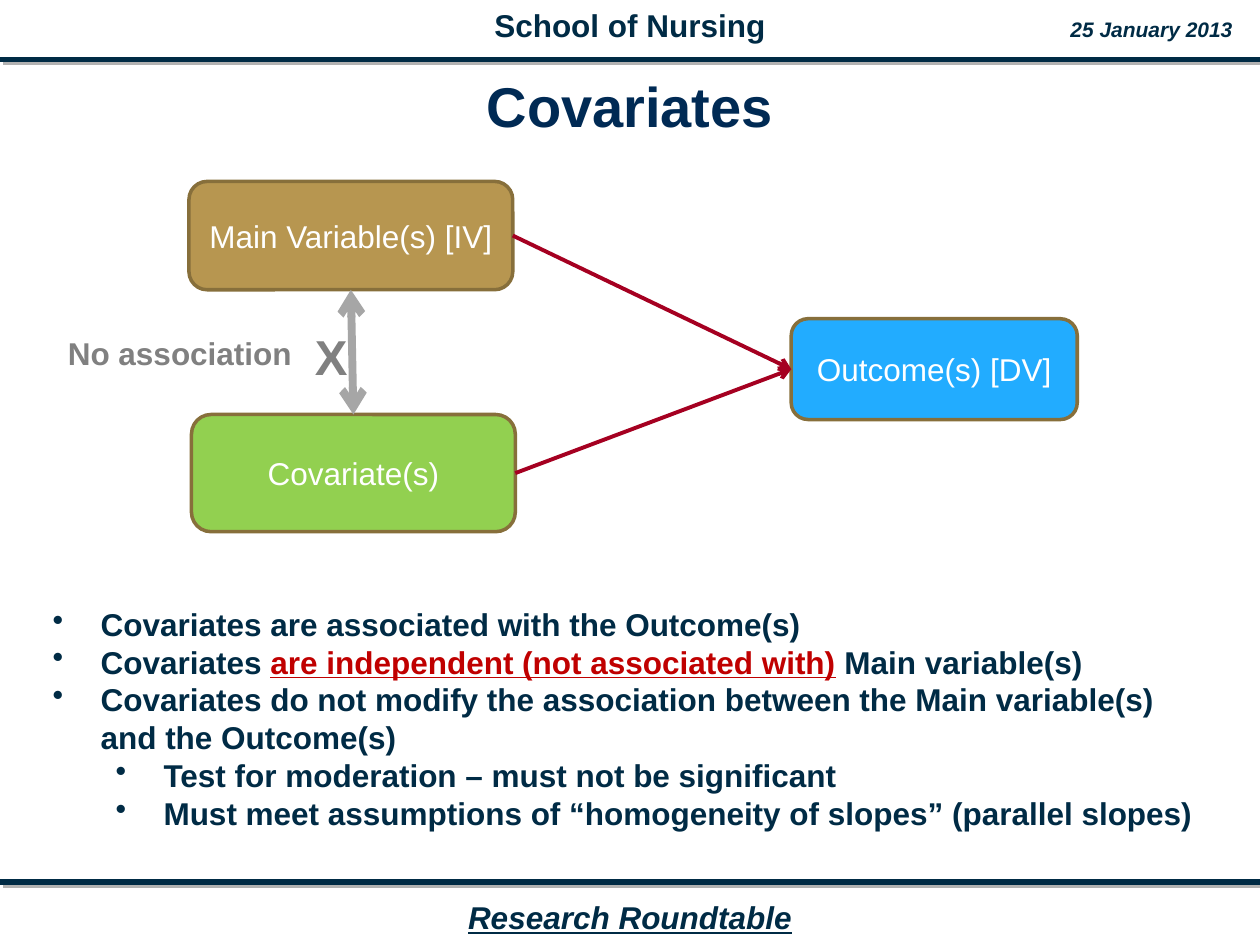
from pptx import Presentation
from pptx.dml.color import RGBColor
from pptx.enum.shapes import MSO_CONNECTOR, MSO_SHAPE
from pptx.enum.text import MSO_ANCHOR as ANCHOR, MSO_AUTO_SIZE as FIT, PP_ALIGN as ALIGN
from pptx.oxml.ns import qn
from pptx.util import Pt
from lxml.etree import SubElement as Sub

PX = 9144  # 100 px to the inch
HUES = {
    "navy": "002B45", "title": "002A54", "shade": "B2B2B2", "gold": "B79650",
    "edge": "876F3B", "blue": "22ACFF", "green": "92D050", "wine": "A50021",
    "red": "C00000", "gray": "808080", "link": "A6A6A6", "white": "FFFFFF",
}
RGB = {name: RGBColor.from_string(code) for name, code in HUES.items()}
TOP, LEFT, BOTTOM, RIGHT = range(4)  # connection sites of a box

deck = Presentation()
deck.slide_width, deck.slide_height = 1000 * PX, 750 * PX
slide = deck.slides.add_slide(deck.slide_layouts[6])
shapes = slide.shapes


def style(para, text, size, hue, bold=True, align=ALIGN.CENTER):
    """Fill a paragraph with one run and set its font."""
    para.add_run().text = text
    para.alignment = align
    font = para.font
    font.name, font.size, font.bold = "Arial", Pt(size), bold
    font.color.rgb = RGB[hue]
    return font


def draw(ends, hue, width, arrows=()):
    """Add a line with arrowheads and return it with its effect list."""
    line = shapes.add_connector(MSO_CONNECTOR.STRAIGHT, *[n * PX for n in ends])
    line.line.color.rgb = RGB[hue]
    line.line.width = Pt(width)
    props = line._element.spPr
    for tag in arrows:
        Sub(props.find(qn("a:ln")), qn(tag), type="arrow")
    return line, Sub(props, qn("a:effectLst"))


# Header and footer rules with a hard shadow
for y in (47, 700):
    rule, fx = draw((0, y, 1000, y), "navy", 3)
    cast = Sub(fx, qn("a:outerShdw"), dist=str(Pt(2.8)), dir="2700000", algn="ctr")
    Sub(cast, qn("a:srgbClr"), val=HUES["shade"])

# Single-line labels: place, text, size, colour, italic, underline, alignment
labels = [
    ((378, 0, 244, 40), "School of Nursing", 18, "navy", False, False, ALIGN.CENTER),
    ((839, 8, 150, 30), "25 January 2013", 12, "navy", True, False, ALIGN.CENTER),
    ((360, 708, 280, 40), "Research Roundtable", 18, "navy", True, True, ALIGN.CENTER),
    ((240, 254, 46, 57), "X", 28, "gray", False, False, ALIGN.LEFT),
    ((44, 260, 200, 40), "No association", 18, "gray", False, False, ALIGN.LEFT),
]

# Title
title = shapes.add_textbox(25 * PX, 58 * PX, 950 * PX, 60 * PX).text_frame
title.word_wrap = True
title.vertical_anchor = ANCHOR.MIDDLE
title.margin_left = title.margin_right = 5 * PX
style(title.paragraphs[0], "Covariates", 32, "title")
title.paragraphs[0].line_spacing = 0.85

# Boxes of the model
boxes = []
for place, text, hue in [
    ((150, 144, 257, 86), "Main Variable(s) [IV]", "gold"),
    ((152, 329, 257, 93), "Covariate(s)", "green"),
    ((628, 253, 227, 80), "Outcome(s) [DV]", "blue"),
]:
    box = shapes.add_shape(MSO_SHAPE.ROUNDED_RECTANGLE, *[n * PX for n in place])
    box.shadow.inherit = False
    box.fill.solid()
    box.fill.fore_color.rgb = RGB[hue]
    box.line.color.rgb = RGB["edge"]
    box.line.width = Pt(2)
    box.text_frame.word_wrap = True
    box.text_frame.vertical_anchor = ANCHOR.MIDDLE
    style(box.text_frame.paragraphs[0], text, 18, "white", bold=False)
    boxes.append(box)
main, covar, out = boxes

# Arrows between the boxes
for start, exit, end, entry, hue, width, arrows in [
    (main, RIGHT, out, LEFT, "wine", 2.25, ["a:tailEnd"]),
    (covar, RIGHT, out, LEFT, "wine", 2.25, ["a:tailEnd"]),
    (main, BOTTOM, covar, TOP, "link", 4.5, ["a:headEnd", "a:tailEnd"]),
]:
    arrow, fx = draw((0, 0, 0, 0), hue, width, arrows)
    arrow.begin_connect(start, exit)
    arrow.end_connect(end, entry)

for place, text, size, hue, italic, under, align in labels:
    frame = shapes.add_textbox(*[n * PX for n in place]).text_frame
    frame.word_wrap = False
    frame.auto_size = FIT.SHAPE_TO_FIT_TEXT
    font = style(frame.paragraphs[0], text, size, hue, align=align)
    font.italic, font.underline = italic, under

# Bullets: level and runs, where every second run is stressed
points = [
    (0, ["Covariates are associated with the Outcome(s)"]),
    (0, ["Covariates ", "are independent (not associated with)", " Main variable(s)"]),
    (0, ["Covariates do not modify the association between the Main variable(s) "
         "and the Outcome(s)"]),
    (1, ["Test for moderation – must not be significant"]),
    (1, ["Must meet assumptions of “homogeneity of slopes” (parallel slopes)"]),
]
body = shapes.add_textbox(32 * PX, 475 * PX, 935 * PX, 192 * PX).text_frame
body.word_wrap = True
body.auto_size = FIT.SHAPE_TO_FIT_TEXT
for i, (level, runs) in enumerate(points):
    para = body.add_paragraph() if i else body.paragraphs[0]
    para.level = level
    style(para, runs[0], 18, "navy", align=ALIGN.LEFT)
    for j, text in enumerate(runs[1:]):
        run = para.add_run()
        run.text = text
        if j % 2 == 0:
            run.font.color.rgb = RGB["red"]
            run.font.underline = True
    props = para._p.get_or_add_pPr()
    props.set("marL", str((38 + 50 * level) * PX))
    props.set("indent", str(-38 * PX))
    mark = Sub(props, qn("a:buChar"), char="•")
    props.find(qn("a:defRPr")).addprevious(mark)

deck.save("out.pptx")
